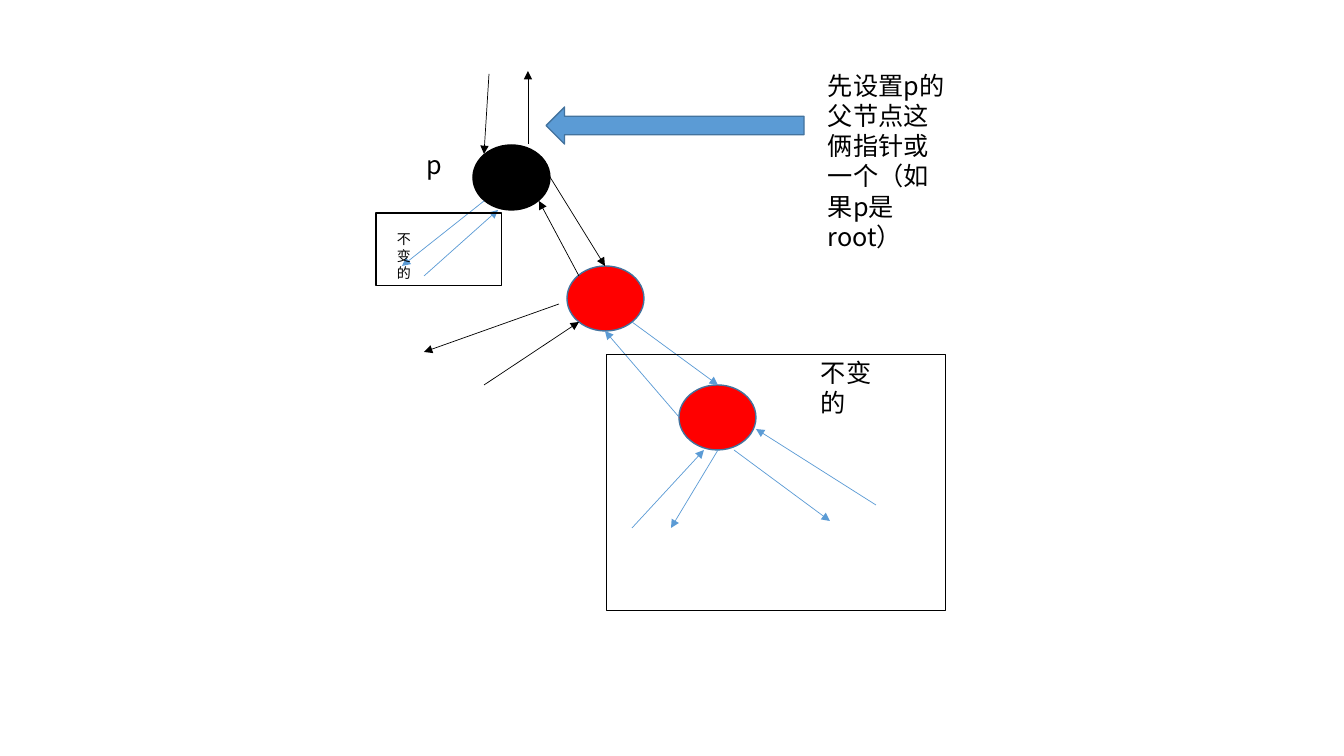
from lxml import etree
from pptx import Presentation
from pptx.dml.color import RGBColor
from pptx.enum.shapes import MSO_CONNECTOR, MSO_SHAPE
from pptx.enum.text import MSO_AUTO_SIZE
from pptx.oxml.ns import qn
from pptx.util import Emu, Pt

OVAL, RECT, ARROW = MSO_SHAPE.OVAL, MSO_SHAPE.RECTANGLE, MSO_SHAPE.RIGHT_ARROW
STRAIGHT = MSO_CONNECTOR.STRAIGHT
GROW = MSO_AUTO_SIZE.SHAPE_TO_FIT_TEXT
FONT = "Noto Sans CJK SC"
BLACK, RED, BLUE, EDGE = "000000", "FF0000", "5B9BD5", "43739E"
SCALE = 914400 / 100.8

NODE_SIZE = (77, 65)
NODES = [
    ((473, 145), BLACK, BLACK),
    ((567, 266), RED, EDGE),
    ((679, 385), RED, EDGE),
]
POINTERS = {
    BLACK: [
        (489, 74, 484, 154), (528, 144, 528, 71),
        (550, 177, 605, 266), (579, 276, 539, 201),
        (559, 304, 424, 352), (484, 385, 579, 322),
    ],
    BLUE: [
        (484, 201, 402, 266), (424, 276, 498, 210),
        (632, 322, 718, 385), (679, 417, 605, 331),
        (718, 450, 671, 528), (734, 450, 830, 521),
        (632, 528, 704, 450), (876, 505, 756, 429),
    ],
}
UNCHANGED_FRAMES = [(376, 213, 126, 73), (607, 355, 339, 256)]
LABELS = [
    ("p", (417, 144, 55, 40), 18),
    ("不变的", (811, 352, 73, 72), 18),
    ("不变的", (387, 226, 37, 61), 10),
    ("先设置p的父节点这俩指针或一个（如果p是root）", (818, 65, 144, 163), 18),
]
HINT_ARROW = (546, 107, 258, 37)


def px(*values):
    return [Emu(round(v * SCALE)) for v in values]


def color(value):
    return RGBColor.from_string(value)


def set_line(sp, value, width):
    sp.line.color.rgb = color(value)
    sp.line.width = Pt(width)


def add_shape(kind, box, fill, line, width):
    sp = slide.shapes.add_shape(kind, *px(*box))
    sp.shadow.inherit = False
    if fill:
        sp.fill.solid()
        sp.fill.fore_color.rgb = color(fill)
    else:
        sp.fill.background()
    set_line(sp, line, width)
    return sp


def add_pointer(ends, line):
    sp = slide.shapes.add_connector(STRAIGHT, *px(*ends))
    set_line(sp, line, 0.5)
    etree.SubElement(sp.line._get_or_add_ln(), qn("a:tailEnd"), type="triangle")
    etree.SubElement(sp._element.spPr, qn("a:effectLst"))


def add_label(text, box, size):
    tf = slide.shapes.add_textbox(*px(*box)).text_frame
    tf.word_wrap = True
    tf.auto_size = GROW
    p = tf.paragraphs[0]
    p.line_spacing = Pt(size * 1.2)
    r = p.add_run()
    r.text = text
    for name, value in {"name": FONT, "size": Pt(size)}.items():
        setattr(r.font, name, value)
    r.font.color.rgb = color(BLACK)
    etree.SubElement(r.font._element, qn("a:ea"), typeface=FONT)


prs = Presentation()
prs.slide_width, prs.slide_height = px(1344, 756)
slide = prs.slides.add_slide(prs.slide_layouts[6])

for corner, fill, line in NODES:
    add_shape(OVAL, corner + NODE_SIZE, fill, line, 1)
for line, pointers in POINTERS.items():
    for ends in pointers:
        add_pointer(ends, line)
for frame in UNCHANGED_FRAMES:
    add_shape(RECT, frame, None, BLACK, 0.75)
for label in LABELS:
    add_label(*label)
add_shape(ARROW, HINT_ARROW, BLUE, EDGE, 1).rotation = 180

prs.save("out.pptx")
